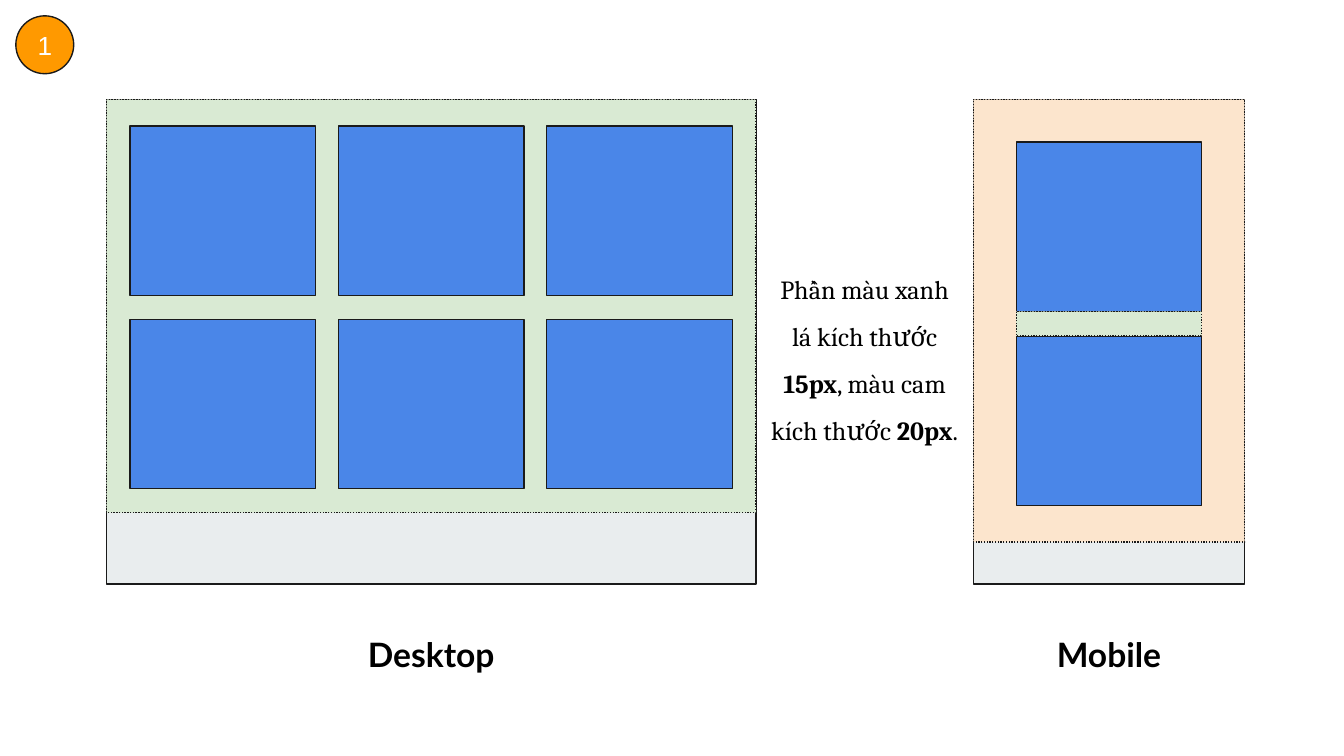
from dataclasses import dataclass

from pptx import Presentation
from pptx.dml.color import RGBColor
from pptx.enum.dml import MSO_LINE
from pptx.enum.shapes import MSO_SHAPE
from pptx.enum.text import MSO_ANCHOR, PP_ALIGN
from pptx.util import Pt

RECT, OVAL = MSO_SHAPE.RECTANGLE, MSO_SHAPE.OVAL
DOT = MSO_LINE.ROUND_DOT
CENTER = PP_ALIGN.CENTER
TOP, MIDDLE = MSO_ANCHOR.TOP, MSO_ANCHOR.MIDDLE


@dataclass(frozen=True)
class Theme:
    screen: str = "E9EDEE"
    green: str = "D9EAD3"
    orange: str = "FCE5CD"
    tile: str = "4A86E8"
    badge: str = "FF9900"
    outline: str = "1A1A1A"
    ink: str = "000000"
    white: str = "FFFFFF"
    title_font: str = "Lato"
    body_font: str = "Cambria"
    badge_font: str = "Arial"
    title_size: float = 18
    body_size: float = 14
    line_width: float = 0.75


THEME = Theme()
TILE_W, TILE_H = 99.4, 90.7
LABEL_DROP, LABEL_H = 19.4, 41


def add_box(slide, box, fill, shape=RECT, dotted=False):
    sp = slide.shapes.add_shape(shape, *map(Pt, box))
    sp.shadow.inherit = False
    sp.fill.solid()
    sp.fill.fore_color.rgb = RGBColor.from_string(fill)
    sp.line.color.rgb = RGBColor.from_string(THEME.outline)
    sp.line.width = Pt(THEME.line_width)
    if dotted:
        sp.line.dash_style = DOT
    return sp


def write(sp, runs, font, size, color=THEME.ink, spacing=None, anchor=TOP):
    """Fill a shape with one centred paragraph of (text, bold) runs."""
    tf = sp.text_frame
    tf.word_wrap = True
    tf.vertical_anchor = anchor
    tf.margin_left = tf.margin_right = tf.margin_top = tf.margin_bottom = Pt(7.2)
    p = tf.paragraphs[0]
    p.alignment = CENTER
    if spacing:
        p.line_spacing = spacing
    for text, bold in runs:
        r = p.add_run()
        r.text = text
        r.font.name = font
        r.font.size = Pt(size)
        r.font.bold = bold
        r.font.color.rgb = RGBColor.from_string(color)


def add_text(slide, box, runs, **style):
    write(slide.shapes.add_textbox(*map(Pt, box)), runs, **style)


def add_tiles(slide, left, top, cols, rows, gap_x, gap_y):
    for row in range(rows):
        for col in range(cols):
            x = left + col * (TILE_W + gap_x)
            y = top + row * (TILE_H + gap_y)
            add_box(slide, (x, y, TILE_W, TILE_H), THEME.tile)


def add_screen(slide, box, content_h, content_fill, label):
    """Draw a device screen with its padded content area and a label below."""
    left, top, width, height = box
    add_box(slide, box, THEME.screen)
    add_box(slide, (left, top, width, content_h), content_fill, dotted=True)
    add_text(slide, (left, top + height + LABEL_DROP, width, LABEL_H),
             [(label, True)], font=THEME.title_font, size=THEME.title_size)


def add_desktop(slide, box):
    left, top, width, _ = box
    cols, rows, gap_x, gap_y = 3, 2, 12.2, 13
    add_screen(slide, box, 221.3, THEME.green, "Desktop")
    side = (width - cols * TILE_W - (cols - 1) * gap_x) / 2
    add_tiles(slide, left + side, top + 14.2, cols, rows, gap_x, gap_y)


def add_mobile(slide, box):
    left, top, width, _ = box
    gap = 13.2
    add_screen(slide, box, 237, THEME.orange, "Mobile")
    x, y = left + (width - TILE_W) / 2, top + 22.8
    add_tiles(slide, x, y, 1, 2, 0, gap)
    add_box(slide, (x, y + TILE_H, TILE_W, gap), THEME.green, dotted=True)


def add_note(slide, box):
    runs = [("Phần màu xanh lá kích thước ", False), ("15px", True),
            (", màu cam kích thước ", False), ("20px", True), (".", False)]
    add_text(slide, box, runs, font=THEME.body_font, size=THEME.body_size,
             spacing=1.5)


def add_badge(slide, box, number):
    sp = add_box(slide, box, THEME.badge, shape=OVAL)
    write(sp, [(number, False)], font=THEME.badge_font, size=THEME.body_size,
          color=THEME.white, anchor=MIDDLE)


def main():
    prs = Presentation()
    prs.slide_width, prs.slide_height = Pt(720), Pt(405)
    slide = prs.slides.add_slide(prs.slide_layouts[6])
    add_mobile(slide, (521.4, 53.3, 145.4, 259.7))
    add_desktop(slide, (57, 53.3, 348, 259.7))
    add_note(slide, (405, 131, 116.4, 84.2))
    add_badge(slide, (8.5, 8.5, 31, 31), "1")
    prs.save("out.pptx")


if __name__ == "__main__":
    main()
